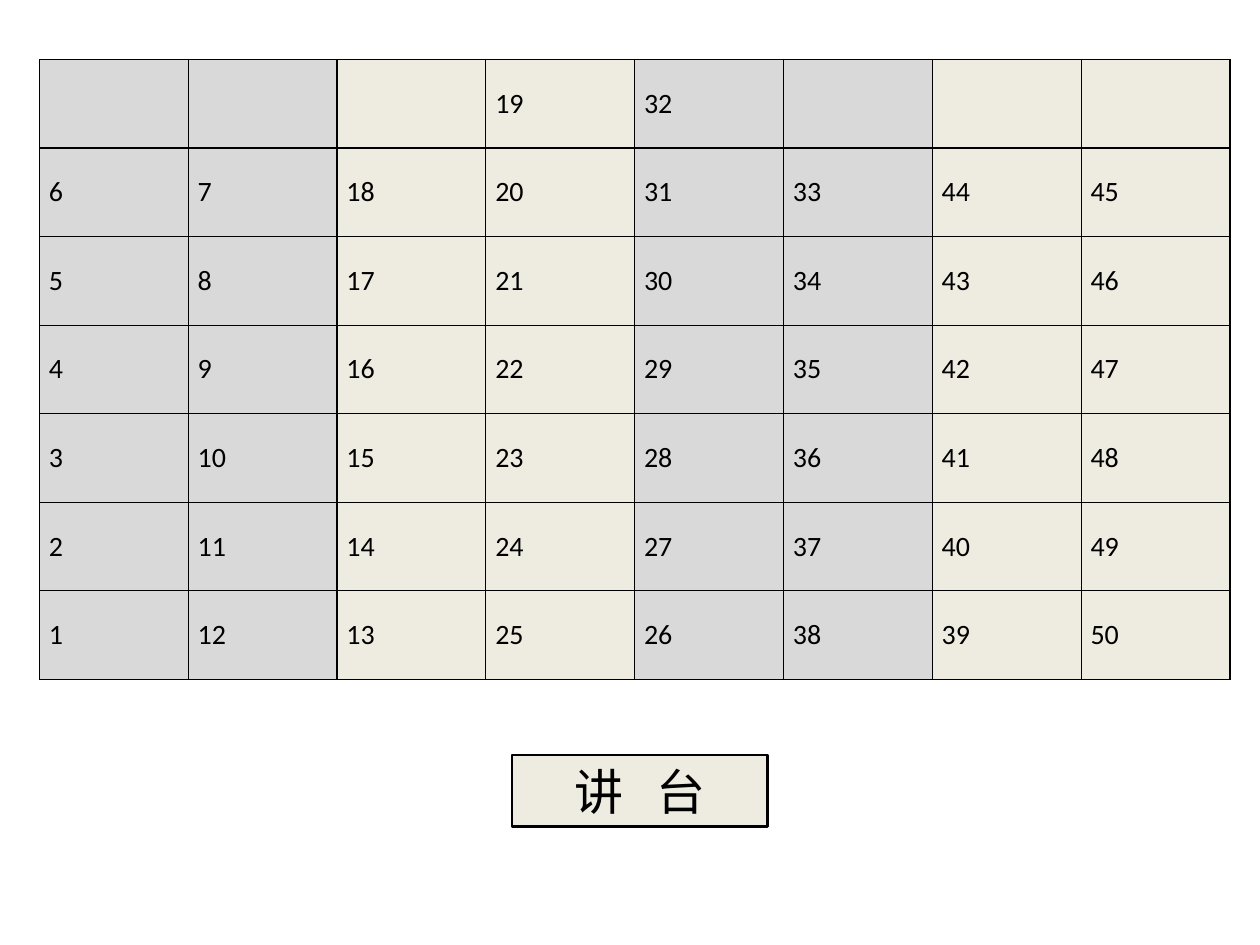
from lxml.etree import SubElement
from pptx import Presentation
from pptx.dml.color import RGBColor
from pptx.enum.shapes import MSO_SHAPE
from pptx.enum.text import MSO_ANCHOR, PP_ALIGN
from pptx.oxml.ns import qn
from pptx.util import Pt

COLORS = {"gray": "D9D9D9", "cream": "EEECE1", "black": "000000"}
SEATS_PER_COLUMN = [6, 6, 6, 7, 7, 6, 6, 6]
ROWS = max(SEATS_PER_COLUMN)


def color(name):
    return RGBColor.from_string(COLORS[name])


def style_paragraph(paragraph, font_name, size):
    paragraph.font.name = font_name
    paragraph.font.size = Pt(size)
    paragraph.font.color.rgb = color("black")


def add_borders(cell, width):
    properties = cell._tc.get_or_add_tcPr()
    for index, side in enumerate(("lnL", "lnR", "lnT", "lnB")):
        line = properties.makeelement(qn(f"a:{side}"), {"w": str(Pt(width))})
        fill = SubElement(line, qn("a:solidFill"))
        SubElement(fill, qn("a:srgbClr"), val=COLORS["black"])
        properties.insert(index, line)


def seat_columns():
    """Number the seats in a snake: up one column, down the next."""
    first = 1
    for index, count in enumerate(SEATS_PER_COLUMN):
        seats = list(range(first, first + count))
        first += count
        if index % 2 == 0:
            seats.reverse()
        yield [""] * (ROWS - count) + seats


def add_seating_table(slide, left, top, width, height):
    columns = len(SEATS_PER_COLUMN)
    table = slide.shapes.add_table(
        ROWS, columns, Pt(left), Pt(top), Pt(width), Pt(height)).table
    for column in table.columns:
        column.width = Pt(width / columns)
    for row in table.rows:
        row.height = Pt(height / ROWS)

    for column_index, seats in enumerate(seat_columns()):
        # Pairs of columns alternate in colour
        fill = "cream" if column_index // 2 % 2 else "gray"
        for row_index, seat in enumerate(seats):
            cell = table.cell(row_index, column_index)
            cell.fill.solid()
            cell.fill.fore_color.rgb = color(fill)
            cell.vertical_anchor = MSO_ANCHOR.MIDDLE
            cell.margin_left = cell.margin_right = Pt(5.4)
            cell.text = str(seat)
            style_paragraph(cell.text_frame.paragraphs[0], "Calibri", 16)
            add_borders(cell, 0.75)


def add_podium(slide, left, top, width, height):
    shape = slide.shapes.add_shape(
        MSO_SHAPE.RECTANGLE, Pt(left), Pt(top), Pt(width), Pt(height))
    shape.shadow.inherit = False
    shape.fill.solid()
    shape.fill.fore_color.rgb = color("cream")
    shape.line.color.rgb = color("black")
    shape.line.width = Pt(1.5)

    shape.text_frame.vertical_anchor = MSO_ANCHOR.MIDDLE
    paragraph = shape.text_frame.paragraphs[0]
    paragraph.alignment = PP_ALIGN.CENTER
    style_paragraph(paragraph, "Noto Sans CJK SC", 28)
    for text in ("讲", " ", "台"):
        run = paragraph.add_run()
        run.text = text
        if text == " ":
            # Widen the gap between the two characters
            run.font._element.set("spc", "1260")


def main():
    presentation = Presentation()
    presentation.slide_width = Pt(720)
    presentation.slide_height = Pt(540)
    slide = presentation.slides.add_slide(presentation.slide_layouts[6])
    add_seating_table(slide, 22.5, 34, 680.4, 354.2)
    add_podium(slide, 292.5, 431.5, 146.2, 41)
    presentation.save("out.pptx")


if __name__ == "__main__":
    main()
